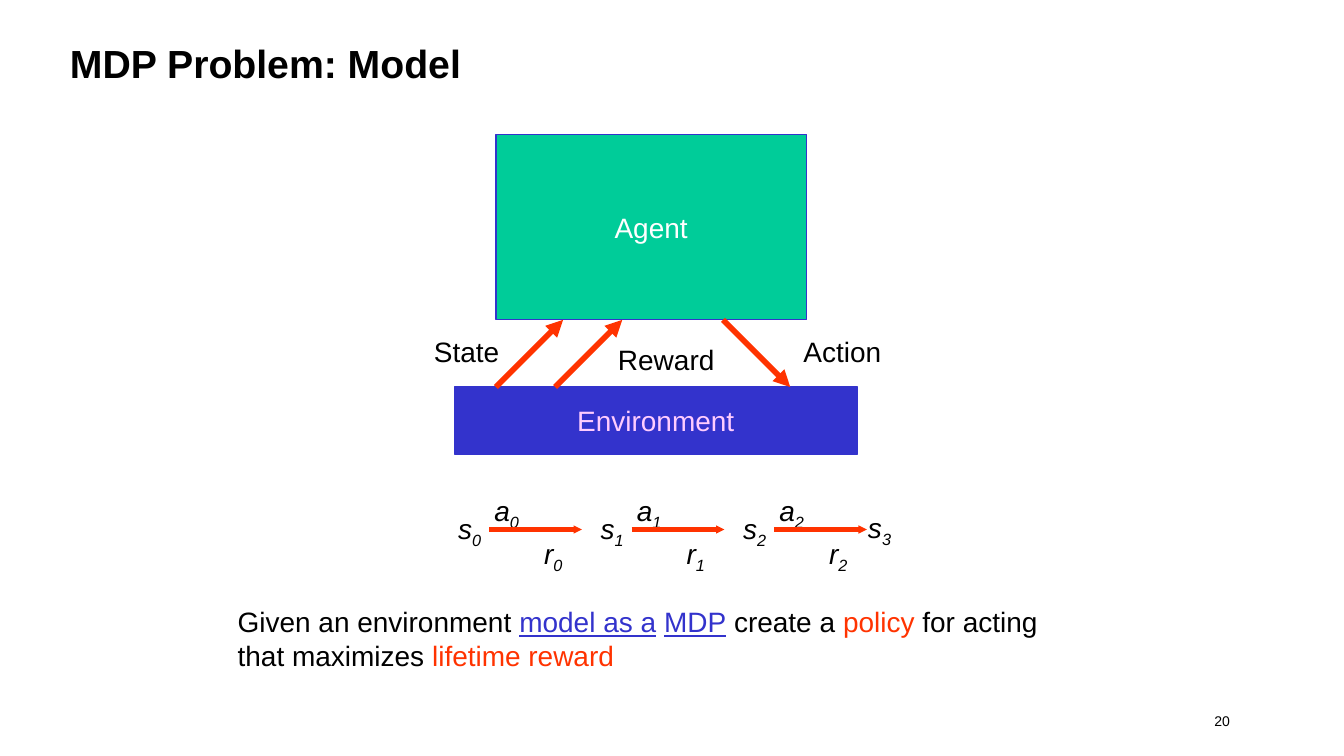
from lxml import etree
from pptx import Presentation
from pptx.dml.color import RGBColor
from pptx.enum import shapes, text
from pptx.oxml.ns import qn
from pptx.util import Inches, Pt

COLORS = {"black": "000000", "white": "FFFFFF", "green": "00CC99",
          "blue": "3333CC", "pink": "FFCCFF", "red": "FF3300"}


def rgb(name):
    return RGBColor.from_string(COLORS[name])


def style(r, size=15, color="black", bold=False, italic=False, underline=False):
    r.font.name = "Arial"
    r.font.size = Pt(size)
    r.font.color.rgb = rgb(color)
    r.font.bold = bold
    r.font.italic = italic
    r.font.underline = underline


def add_text(s, box, runs, wrap=False):
    """Add a text box; runs is a list of (text, style options)."""
    tf = s.shapes.add_textbox(*map(Inches, box)).text_frame
    tf.word_wrap = wrap
    p = tf.paragraphs[0]
    for words, options in runs:
        r = p.add_run()
        r.text = words
        style(r, **options)
    return p


def add_symbol(s, box, letter, index):
    p = add_text(s, box, [(letter, {"italic": True}), (str(index), {"italic": True})])
    p.runs[1].font._element.set("baseline", "-25000")


def add_arrow(s, x1, y1, x2, y2, width, head="med"):
    line = s.shapes.add_connector(shapes.MSO_CONNECTOR.STRAIGHT,
                                  *map(Inches, (x1, y1, x2, y2)))
    line.line.color.rgb = rgb("red")
    line.line.width = Pt(width)
    etree.SubElement(line.line._get_or_add_ln(), qn("a:tailEnd"),
                     type="triangle", w=head, len=head)
    etree.SubElement(line._element.spPr, qn("a:effectLst"))


def add_block(s, box, label, fill, color):
    sp = s.shapes.add_shape(shapes.MSO_SHAPE.RECTANGLE, *map(Inches, box))
    sp.shadow.inherit = False
    sp.fill.solid()
    sp.fill.fore_color.rgb = rgb(fill)
    sp.line.color.rgb = rgb("blue")
    sp.line.width = Pt(0.75)
    tf = sp.text_frame
    tf.text = label
    tf.vertical_anchor = text.MSO_ANCHOR.MIDDLE
    p = tf.paragraphs[0]
    p.alignment = text.PP_ALIGN.CENTER
    style(p.runs[0], color=color)


def add_title(s, box, words):
    sp = s.shapes.title
    sp.left, sp.top, sp.width, sp.height = map(Inches, box)
    tf = sp.text_frame
    tf.text = words
    tf.vertical_anchor = text.MSO_ANCHOR.MIDDLE
    p = tf.paragraphs[0]
    p.alignment = text.PP_ALIGN.LEFT
    style(p.runs[0], size=21, bold=True)


def add_loop(s, x, y):
    """Agent and environment, joined by state, reward and action."""
    agent_bottom, env_top = y + 1.38, y + 1.88
    add_block(s, (x + 0.31, y, 2.31, 1.38), "Agent", "green", "white")
    add_block(s, (x, env_top, 3, 0.5), "Environment", "blue", "pink")
    for dx in (0.31, 0.75):
        add_arrow(s, x + dx, env_top, x + dx + 0.5, agent_bottom, 3)
    add_arrow(s, x + 2, agent_bottom, x + 2.5, env_top, 3)
    for label, dx, dy, width in (("State", -0.25, 1.44, 0.69),
                                 ("Reward", 1.12, 1.5, 0.93),
                                 ("Action", 2.5, 1.44, 0.79)):
        add_text(s, (x + dx, y + dy, width, 0.35), [(label, {})])


def add_trajectory(s, x, y, steps=3, pitch=1.06):
    """States linked by arrows, with action above and reward below."""
    for i in range(steps):
        left = x + i * pitch
        add_symbol(s, (left, y + 0.14, 0.38, 0.35), "s", i)
        add_symbol(s, (left + 0.27, y, 0.4, 0.35), "a", i)
        add_symbol(s, (left + 0.64, y + 0.32, 0.35, 0.35), "r", i)
        add_arrow(s, left + 0.33, y + 0.32, left + 1.02, y + 0.32, 2.25, head="sm")
    add_symbol(s, (x + steps * pitch - 0.13, y + 0.13, 0.39, 0.39), "s", steps)


def add_goal(s, box):
    term = {"color": "blue", "underline": True}
    key = {"color": "red"}
    add_text(s, box, [("Given an environment ", {}), ("model as a", term), (" ", {}),
                      ("MDP", term), (" create a ", {}), ("policy", key),
                      (" for acting that maximizes ", {}), ("lifetime reward", key)],
             wrap=True)


def add_page_number(s, box, number):
    p = add_text(s, box, [(str(number), {"size": 7.5})], wrap=True)
    p.alignment = text.PP_ALIGN.RIGHT


def main():
    prs = Presentation()
    # Widescreen, 16 to 9
    prs.slide_width = Inches(10)
    prs.slide_height = prs.slide_width * 9 // 16
    s = prs.slides.add_slide(prs.slide_layouts[5])
    add_title(s, (0.42, 0.12, 8.5, 0.69), "MDP Problem: Model")
    add_loop(s, 3.38, 1)
    add_trajectory(s, 3.31, 3.62)
    add_goal(s, (1.67, 4.45, 6.2, 0.61))
    add_page_number(s, (6.83, 5.25, 2.42, 0.25), 20)
    prs.save("out.pptx")


if __name__ == "__main__":
    main()
